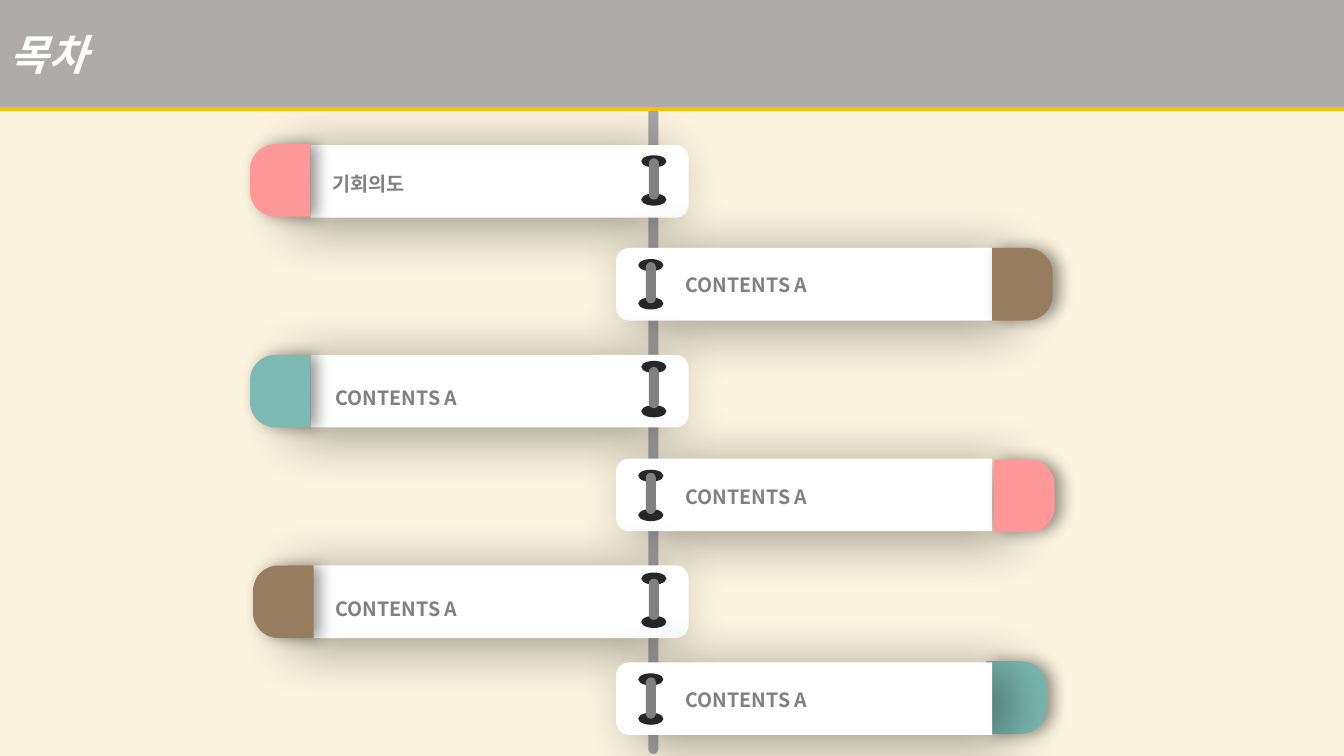
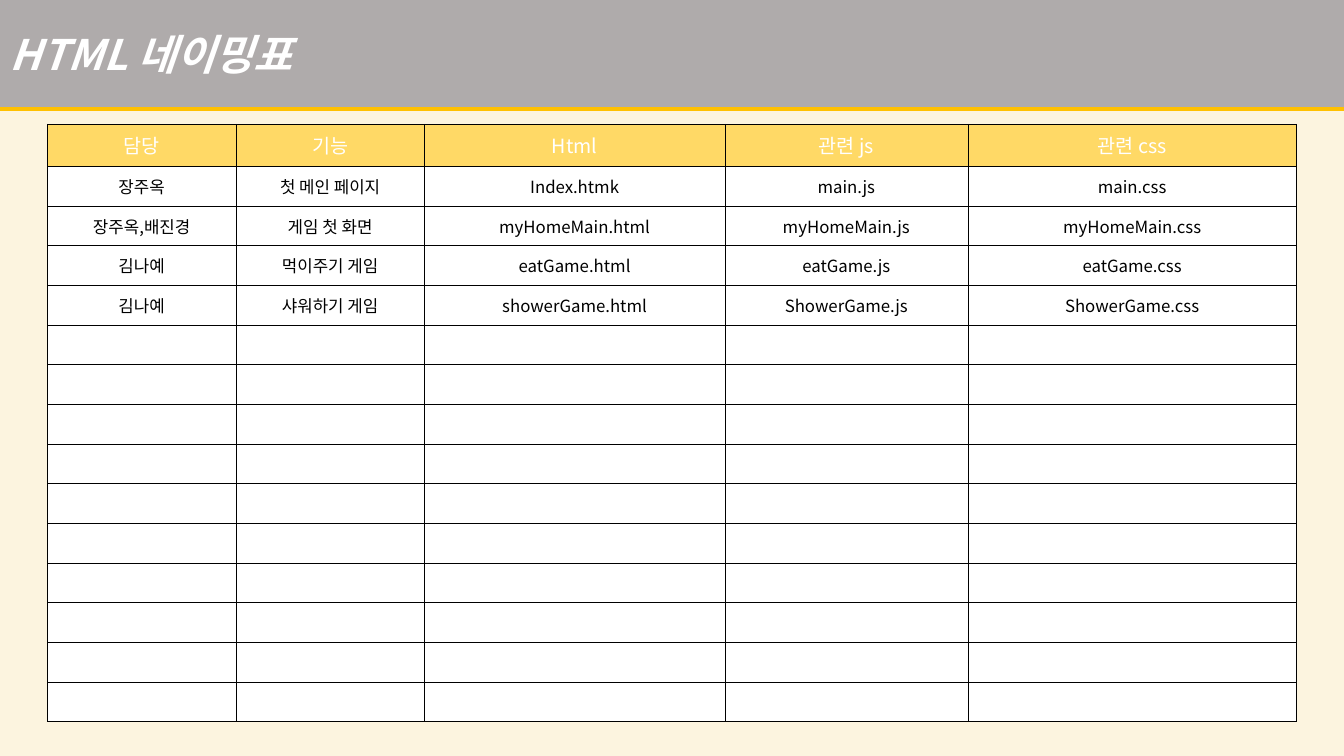
"""Builds a contents slide of pinned labels and a file naming table slide."""
from collections import namedtuple

from lxml import etree
from pptx import Presentation
from pptx.dml.color import RGBColor
from pptx.enum.shapes import MSO_SHAPE
from pptx.enum.text import MSO_ANCHOR, MSO_AUTO_SIZE, PP_ALIGN
from pptx.oxml.ns import qn
from pptx.util import Inches, Pt

RECT, OVAL = MSO_SHAPE.RECTANGLE, MSO_SHAPE.OVAL
PILL, TOP_ROUNDED = MSO_SHAPE.ROUNDED_RECTANGLE, MSO_SHAPE.ROUND_2_SAME_RECTANGLE
MIDDLE, TOP = MSO_ANCHOR.MIDDLE, MSO_ANCHOR.TOP
LEFT, CENTER = PP_ALIGN.LEFT, PP_ALIGN.CENTER
GROW = MSO_AUTO_SIZE.SHAPE_TO_FIT_TEXT

WIDTH, HEIGHT = 13.33, 7.5
FONT = "Noto Sans CJK KR"
COLORS = {
    "cream": "FCF4DF", "band": "AFABAB", "gold": "FFC000", "white": "FFFFFF",
    "black": "000000", "pole": "A6A6A6", "gray": "808080", "cap": "262626",
    "pink": "FF9999", "brown": "967D5F", "teal": "7CBAB3", "yellow": "FFD966",
}

Label = namedtuple("Label", "text side top text_at tab_at color caps rod tab_below")
LABELS = [
    Label("기회의도", "left", 1.44, (3.2, 1.54), (2.48, 1.43), "pink", (1.54, 1.92), 1.57, False),
    Label("CONTENTS A", "right", 2.46, (6.7, 2.54), (9.84, 2.46), "brown", (2.57, 2.95), 2.6, False),
    Label("CONTENTS A", "left", 3.52, (3.23, 3.66), (2.48, 3.52), "teal", (3.58, 4.02), 3.64, False),
    Label("CONTENTS A", "right", 4.55, (6.7, 4.64), (9.86, 4.56), "pink", (4.66, 5.05), 4.69, False),
    Label("CONTENTS A", "left", 5.61, (3.23, 5.76), (2.51, 5.61), "brown", (5.68, 6.11), 5.74, False),
    Label("CONTENTS A", "right", 6.57, (6.7, 6.66), (9.78, 6.56), "teal", (6.68, 7.07), 6.72, True),
]
Side = namedtuple("Side", "bar_left bar_width turn pin_left text_width shadow_angle")
SIDES = {
    "left": Side(3.08, 3.75, 270, 6.36, 3.38, 160),
    "right": Side(6.11, 3.73, 90, 6.33, 3.16, 20),
}
LABEL_HEIGHT, TAB_WIDTH = 0.72, 0.6
CAP_WIDTH, CAP_HEIGHT, ROD_WIDTH, ROD_HEIGHT = 0.25, 0.12, 0.1, 0.41

HEADINGS = ["담당", "기능", "Html", "관련 js", "관련 css"]
FILES = [
    ["장주옥", "첫 메인 페이지", "Index.htmk", "main.js", "main.css"],
    ["장주옥,배진경", "게임 첫 화면", "myHomeMain.html", "myHomeMain.js", "myHomeMain.css"],
    ["김나예", "먹이주기 게임", "eatGame.html", "eatGame.js", "eatGame.css"],
    ["김나예", "샤워하기 게임", "showerGame.html", "ShowerGame.js", "ShowerGame.css"],
]
EMPTY_ROWS = 10
COLUMN_WIDTHS = [1.87, 1.87, 2.98, 2.41, 3.26]
TABLE_HEIGHT, HEADING_HEIGHT = 5.93, 0.42


def rgb(name):
    return RGBColor.from_string(COLORS[name])


def add_color(parent, name, alpha=100):
    fill = etree.SubElement(parent, qn("a:srgbClr"), val=COLORS[name])
    if alpha < 100:
        etree.SubElement(fill, qn("a:alpha"), val=str(alpha * 1000))


def add_shadow(shape, color, alpha, blur, distance, direction):
    effects = shape._element.spPr.find(qn("a:effectLst"))
    shadow = etree.SubElement(
        effects, qn("a:outerShdw"), blurRad=str(Pt(blur)), dist=str(Pt(distance)),
        dir=str(direction * 60000), algn="ctr", rotWithShape="0")
    add_color(shadow, color, alpha)


def add_block(slide, preset, box, color, adjustments=(), turn=0):
    """Places a shape so that its turned outline fills the box."""
    left, top, width, height = box
    if turn:
        left, top = left + (width - height) / 2, top + (height - width) / 2
        width, height = height, width
    block = slide.shapes.add_shape(preset, *map(Inches, (left, top, width, height)))
    block.rotation = turn
    block.shadow.inherit = False
    block.fill.solid()
    block.fill.fore_color.rgb = rgb(color)
    block.line.fill.background()
    for index, value in enumerate(adjustments):
        block.adjustments[index] = value
    return block


def write(frame, text, size, color, align=LEFT, bold=False, italic=False):
    frame.text = text
    paragraph = frame.paragraphs[0]
    paragraph.alignment = align
    for run in paragraph.runs:
        font = run.font
        font.size, font.name, font.bold, font.italic = Pt(size), FONT, bold, italic
        font.color.rgb = rgb(color)
        etree.SubElement(run._r.get_or_add_rPr(), qn("a:ea"), typeface=FONT)
    if not text:
        etree.SubElement(paragraph._p, qn("a:endParaRPr"), sz=str(size * 100))
    return paragraph


def add_slide(deck):
    slide = deck.slides.add_slide(deck.slide_layouts[6])
    slide.background.fill.solid()
    slide.background.fill.fore_color.rgb = rgb("cream")
    return slide


def add_title(slide, title):
    band = add_block(slide, RECT, (0, 0, WIDTH, 1.06), "band")
    add_shadow(band, "gold", 100, 0, 3, 90)
    band.text_frame.vertical_anchor = MIDDLE
    write(band.text_frame, title, 30, "white", bold=True, italic=True)


def add_bar(slide, label, side):
    box = (side.bar_left, label.top, side.bar_width, LABEL_HEIGHT)
    bar = add_block(slide, TOP_ROUNDED, box, "white", (0, 0.18), side.turn)
    add_shadow(bar, "black", 40, 41, 15, side.shadow_angle)


def add_tab(slide, label, side):
    box = (*label.tab_at, TAB_WIDTH, LABEL_HEIGHT)
    tab = add_block(slide, TOP_ROUNDED, box, label.color, (0.42, 0), side.turn)
    add_shadow(tab, "black", 40, 11, 5, 0)


def add_label(slide, label):
    side = SIDES[label.side]
    layers = [add_tab, add_bar] if label.tab_below else [add_bar, add_tab]
    for add_layer in layers:
        add_layer(slide, label, side)
    for cap_top in label.caps:
        add_block(slide, OVAL, (side.pin_left, cap_top, CAP_WIDTH, CAP_HEIGHT), "cap")
    rod_left = side.pin_left + (CAP_WIDTH - ROD_WIDTH) / 2
    add_block(slide, PILL, (rod_left, label.rod, ROD_WIDTH, ROD_HEIGHT), "gray", (0.5,))
    caption = slide.shapes.add_textbox(*map(Inches, (*label.text_at, side.text_width, 0.41)))
    caption.text_frame.word_wrap = True
    caption.text_frame.auto_size = GROW
    write(caption.text_frame, label.text, 14, "gray", bold=True).line_spacing = 1.5


def style_cell(cell, text, heading):
    cell.margin_left = cell.margin_right = Inches(0.13)
    cell.margin_top = cell.margin_bottom = Inches(0.07)
    cell.vertical_anchor = TOP if heading else MIDDLE
    size, color = (14, "white") if heading else (12, "black")
    write(cell.text_frame, text, size, color, CENTER)
    for edge in ("a:lnL", "a:lnR", "a:lnT", "a:lnB"):
        border = etree.SubElement(cell._tc.get_or_add_tcPr(), qn(edge), w=str(Pt(0.25)))
        add_color(etree.SubElement(border, qn("a:solidFill")), "black")
    cell.fill.solid()
    cell.fill.fore_color.rgb = rgb("yellow" if heading else "white")


def add_naming_table(slide):
    rows = [HEADINGS, *FILES] + [[""] * len(HEADINGS)] * EMPTY_ROWS
    row_height = (TABLE_HEIGHT - HEADING_HEIGHT) / (len(rows) - 1)
    box = map(Inches, (0.47, 1.23, sum(COLUMN_WIDTHS), TABLE_HEIGHT))
    table = slide.shapes.add_table(len(rows), len(HEADINGS), *box).table
    for column, width in zip(table.columns, COLUMN_WIDTHS):
        column.width = Inches(width)
    for index, texts in enumerate(rows):
        table.rows[index].height = Inches(row_height if index else HEADING_HEIGHT)
        for cell, text in zip(table.rows[index].cells, texts):
            style_cell(cell, text, index == 0)


def main():
    deck = Presentation()
    deck.slide_width, deck.slide_height = Inches(WIDTH), Inches(HEIGHT)

    contents = add_slide(deck)
    add_block(contents, PILL, (6.43, 0, 0.1, 7.48), "pole", (0.5,))
    for label in LABELS:
        add_label(contents, label)
    add_title(contents, "목차")

    naming = add_slide(deck)
    add_title(naming, "HTML 네이밍표")
    add_naming_table(naming)
    deck.save("out.pptx")


if __name__ == "__main__":
    main()
